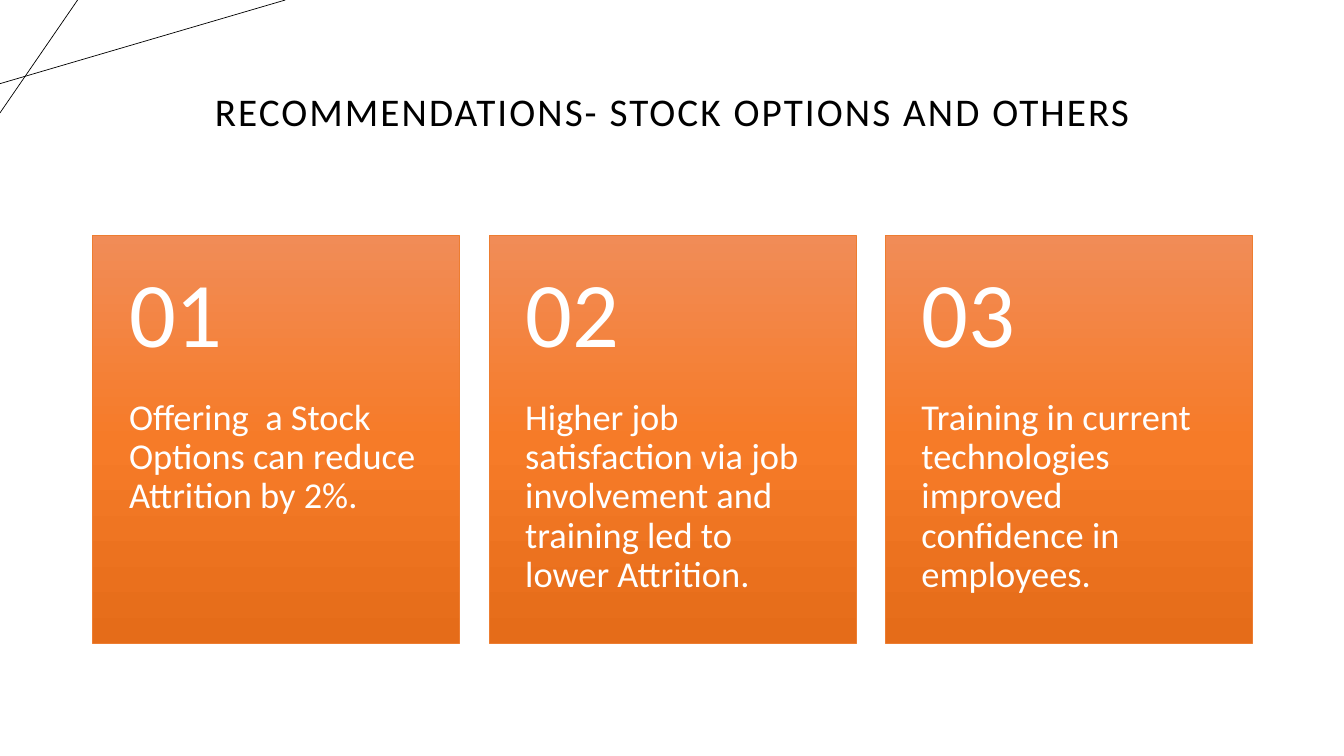
from copy import deepcopy

from pptx import Presentation
from pptx.dml.color import RGBColor
from pptx.enum.shapes import MSO_CONNECTOR, MSO_SHAPE
from pptx.enum.text import MSO_ANCHOR as ANCHOR, PP_ALIGN as ALIGN
from pptx.oxml.ns import qn
from pptx.util import Inches, Pt

BLACK = RGBColor(0x00, 0x00, 0x00)
WHITE = RGBColor(0xFF, 0xFF, 0xFF)
ORANGE = RGBColor(0xED, 0x7D, 0x31)
CARD_STOPS = [
    (0, RGBColor(0xF1, 0x8C, 0x57)),
    (0.5, RGBColor(0xF6, 0x7B, 0x28)),
    (1, RGBColor(0xE5, 0x6C, 0x19)),
]
FONT = "Calibri"

SLIDE_W, SLIDE_H = 13.33, 7.5
MARGIN, CONTENT_W = 0.92, 11.5
CARD_TOP, CARD_W, CARD_H = 2.34, 3.64, 4.04
NUMBER_H = 0.4 * CARD_H
PAD = 0.36

TITLE = "RECOMMENDATIONS- STOCK OPTIONS AND OTHERS"
RECOMMENDATIONS = [
    "Offering  a Stock Options can reduce Attrition by 2%.",
    "Higher job satisfaction via job involvement and training led to lower Attrition.",
    "Training in current technologies improved confidence in employees.",
]
CORNER_LINES = [((0, 0.83), (2.83, 0)), ((0.77, 0), (0, 1.12))]


def add_corner_line(slide, start, end):
    ends = [Inches(v) for v in (*start, *end)]
    line = slide.shapes.add_connector(MSO_CONNECTOR.STRAIGHT, *ends)
    line.line.color.rgb = BLACK
    line.line.width = Pt(0.5)
    spPr = line._element.spPr
    spPr.append(spPr.makeelement(qn("a:effectLst"), {}))


def add_text(slide, box, text, size, color, insets,
             anchor=ANCHOR.TOP, align=ALIGN.LEFT):
    """Add a one-paragraph text box; insets are left, top, right, bottom."""
    tf = slide.shapes.add_textbox(*map(Inches, box)).text_frame
    tf.word_wrap = True
    tf.vertical_anchor = anchor
    (tf.margin_left, tf.margin_top,
     tf.margin_right, tf.margin_bottom) = map(Inches, insets)
    p = tf.paragraphs[0]
    p.alignment = align
    p.line_spacing = 0.9
    r = p.add_run()
    r.text = text
    r.font.name = FONT
    r.font.size = Pt(size)
    r.font.color.rgb = color
    return r


def add_title(slide):
    r = add_text(slide, (MARGIN, 0.4, CONTENT_W, 1.45), TITLE, 28, BLACK,
                 (0.1, 0.05, 0.1, 0.05), ANCHOR.MIDDLE, ALIGN.CENTER)
    r.font._element.set("spc", "150")


def fill_gradient(sp, stops):
    """Fill with three colours running from top to bottom."""
    sp.fill.gradient()
    sp.fill.gradient_angle = 270
    gs_list = sp._element.spPr.find(".//" + qn("a:gsLst"))
    gs_list.append(deepcopy(gs_list[0]))
    for stop, (position, color) in zip(sp.fill.gradient_stops, stops):
        stop.position = position
        stop.color.rgb = color


def add_card(slide, left, number, text):
    sp = slide.shapes.add_shape(
        MSO_SHAPE.RECTANGLE, *map(Inches, (left, CARD_TOP, CARD_W, CARD_H)))
    sp.shadow.inherit = False
    fill_gradient(sp, CARD_STOPS)
    sp.line.color.rgb = ORANGE
    sp.line.width = Pt(0.5)
    add_text(slide, (left, CARD_TOP + NUMBER_H, CARD_W, CARD_H - NUMBER_H),
             text, 26, WHITE, (PAD, 0, PAD, PAD))
    add_text(slide, (left, CARD_TOP, CARD_W, NUMBER_H), f"{number:02d}",
             66, WHITE, (PAD, PAD / 2, PAD, PAD / 2), ANCHOR.MIDDLE)


def main():
    prs = Presentation()
    prs.slide_width, prs.slide_height = Inches(SLIDE_W), Inches(SLIDE_H)
    slide = prs.slides.add_slide(prs.slide_layouts[6])
    for start, end in CORNER_LINES:
        add_corner_line(slide, start, end)
    add_title(slide)
    pitch = (CONTENT_W - CARD_W) / (len(RECOMMENDATIONS) - 1)
    for i, text in enumerate(RECOMMENDATIONS):
        add_card(slide, MARGIN + i * pitch, i + 1, text)
    prs.save("out.pptx")


if __name__ == "__main__":
    main()
